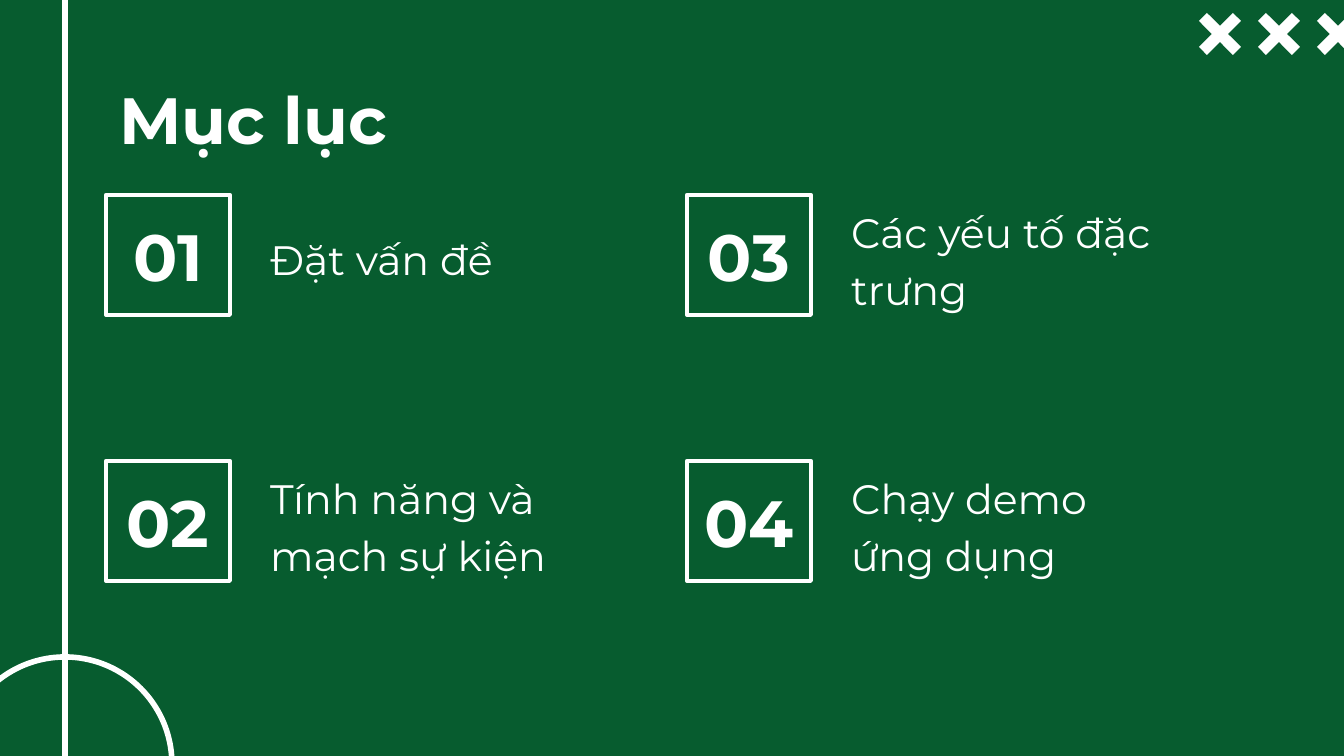
from dataclasses import dataclass

from lxml import etree
from pptx import Presentation
from pptx.dml.color import RGBColor
from pptx.enum.shapes import MSO_CONNECTOR, MSO_SHAPE
from pptx.enum.text import MSO_ANCHOR, MSO_AUTO_SIZE, PP_ALIGN
from pptx.oxml.ns import qn
from pptx.util import Inches, Pt

STRAIGHT = MSO_CONNECTOR.STRAIGHT
RECTANGLE, OVAL = MSO_SHAPE.RECTANGLE, MSO_SHAPE.OVAL
TOP, MIDDLE, BOTTOM = MSO_ANCHOR.TOP, MSO_ANCHOR.MIDDLE, MSO_ANCHOR.BOTTOM
LEFT, CENTER = PP_ALIGN.LEFT, PP_ALIGN.CENTER
NO_AUTOFIT = MSO_AUTO_SIZE.NONE

TITLE = "Mục lục"
TOPICS = [
    ("01", "Đặt vấn đề", MIDDLE),
    ("02", "Tính năng và mạch sự kiện", BOTTOM),
    ("03", "Các yếu tố đặc trưng", BOTTOM),
    ("04", "Chạy demo ứng dụng", BOTTOM),
]


@dataclass(frozen=True)
class Theme:
    green: RGBColor = RGBColor(0x07, 0x5C, 0x2F)
    white: RGBColor = RGBColor(0xFF, 0xFF, 0xFF)
    font: str = "Montserrat"
    heading: int = 35
    topic: int = 22
    decor_line: float = 3
    box_line: float = 2.25


THEME = Theme()
PAGE_WIDTH, PAGE_HEIGHT = 1344, 756
SCALE = Inches(10) / PAGE_WIDTH
GRID_LEFT, GRID_TOP, COLUMN_STEP, ROW_STEP = 106, 195, 581, 266
BOX_WIDTH, BOX_HEIGHT = 124, 120
TOPIC_OFFSET, TOPIC_WIDTH, BOTTOM_DROP = 151, 340, 12
AXIS, RADIUS, CIRCLE_TOP = 65, 107, 657
CROSS_LEFT, CROSS_TOP, CROSS_STEP, CROSS_COUNT = 1199, 13, 59, 3
CROSS = [(0, 34), (8, 42), (21, 29), (34, 42), (42, 34), (29, 21),
         (42, 8), (34, 0), (21, 13), (8, 0), (0, 8), (13, 21)]


def px(*lengths):
    return [round(length * SCALE) for length in lengths]


def outline(shape, width):
    shape.line.color.rgb = THEME.white
    shape.line.width = Pt(width)


def outlined_shape(page, kind, area, width):
    shape = page.shapes.add_shape(kind, *px(*area))
    shape.shadow.inherit = False
    shape.fill.background()
    outline(shape, width)
    return shape


def write(shape, text, size, bold, align, anchor, spacing=1.0):
    frame = shape.text_frame
    frame.text = text
    frame.word_wrap = True
    frame.auto_size = NO_AUTOFIT
    frame.vertical_anchor = anchor
    frame.margin_left = frame.margin_right = Inches(0.1)
    frame.margin_top = frame.margin_bottom = Inches(0.1)
    para = frame.paragraphs[0]
    para.alignment = align
    para.line_spacing = spacing
    para.font.name = THEME.font
    para.font.size = Pt(size)
    para.font.bold = bold
    para.font.color.rgb = THEME.white


def add_decor(page):
    circle = (AXIS - RADIUS, CIRCLE_TOP, 2 * RADIUS, 2 * RADIUS)
    outlined_shape(page, OVAL, circle, THEME.decor_line)
    axis = page.shapes.add_connector(STRAIGHT, *px(AXIS, 0, AXIS, PAGE_HEIGHT))
    outline(axis, THEME.decor_line)
    etree.SubElement(axis._element.spPr, qn("a:effectLst"))
    for index in range(CROSS_COUNT):
        left = CROSS_LEFT + index * CROSS_STEP
        points = [(left + x, CROSS_TOP + y) for x, y in CROSS]
        builder = page.shapes.build_freeform(*points[0], scale=SCALE)
        builder.add_line_segments(points[1:], close=True)
        cross = builder.convert_to_shape()
        cross.shadow.inherit = False
        cross.fill.solid()
        cross.fill.fore_color.rgb = THEME.white
        cross.line.fill.background()


def add_title(page):
    title = page.shapes.title
    title.left, title.top, title.width, title.height = px(GRID_LEFT, 66, 1133, 85)
    write(title, TITLE, THEME.heading, True, LEFT, TOP)


def add_topics(page):
    for index, (number, topic, anchor) in enumerate(TOPICS):
        column, row = divmod(index, 2)
        left = GRID_LEFT + column * COLUMN_STEP
        top = GRID_TOP + row * ROW_STEP
        box = outlined_shape(page, RECTANGLE, (left, top, BOX_WIDTH, BOX_HEIGHT),
                             THEME.box_line)
        write(box, number, THEME.heading, True, CENTER, MIDDLE)
        drop = BOTTOM_DROP if anchor == BOTTOM else 0
        label = page.shapes.add_textbox(
            *px(left + TOPIC_OFFSET, top + drop, TOPIC_WIDTH, BOX_HEIGHT))
        write(label, topic, THEME.topic, False, LEFT, anchor, 1.15)


def main():
    deck = Presentation()
    deck.slide_width, deck.slide_height = px(PAGE_WIDTH, PAGE_HEIGHT)
    page = deck.slides.add_slide(deck.slide_layouts[5])
    page.background.fill.solid()
    page.background.fill.fore_color.rgb = THEME.green
    add_decor(page)
    add_title(page)
    add_topics(page)
    deck.save("out.pptx")


if __name__ == "__main__":
    main()
